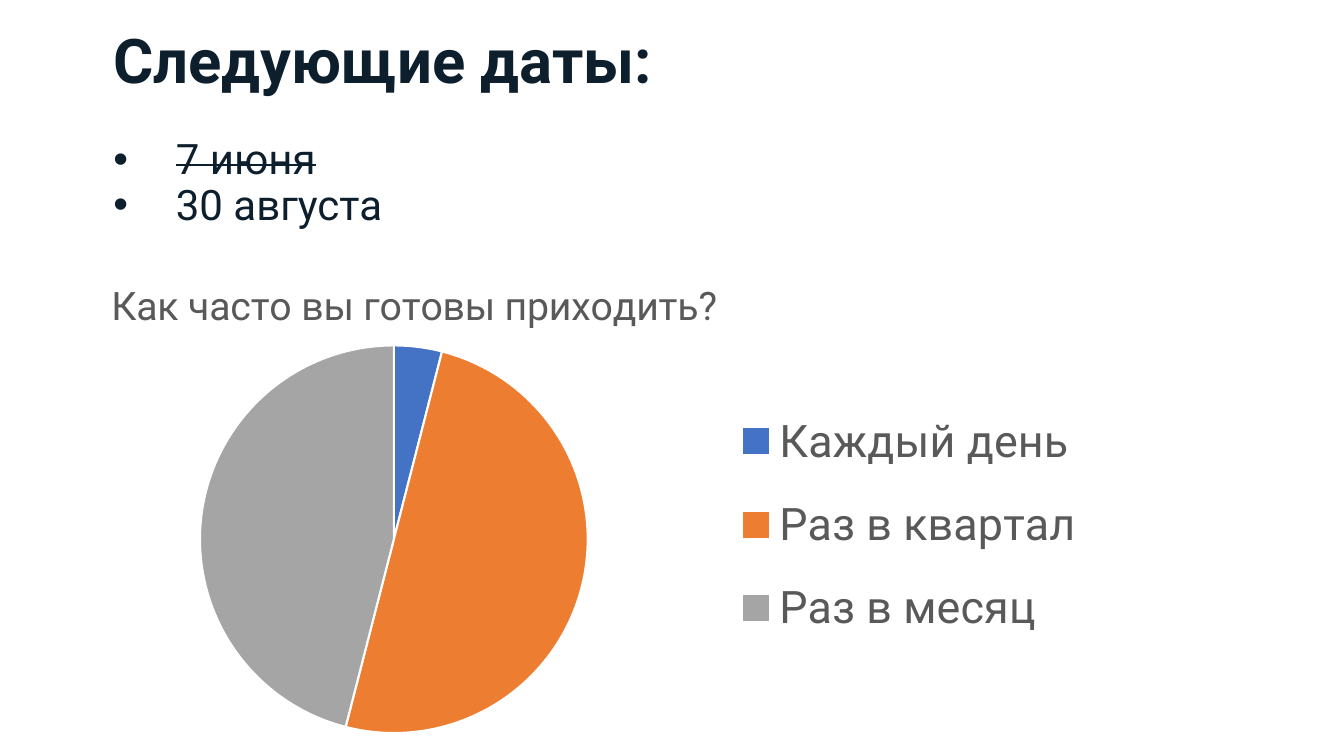
from lxml import etree
from pptx import Presentation
from pptx import util as u
from pptx.chart.data import CategoryChartData
from pptx.dml.color import RGBColor
from pptx.enum import chart as ch
from pptx.enum import text
from pptx.oxml.ns import qn

NAVY = RGBColor(0x0D, 0x1F, 0x2D)
GREY = RGBColor(0x59, 0x59, 0x59)
WHITE = RGBColor(0xFF, 0xFF, 0xFF)
BLUE = RGBColor(0x44, 0x72, 0xC4)
ORANGE = RGBColor(0xED, 0x7D, 0x31)
SILVER = RGBColor(0xA5, 0xA5, 0xA5)
FONT = "Roboto"


def write(paragraph, words, size, color=NAVY, bold=False, strike=False):
    run = paragraph.add_run()
    run.text = words
    font = run.font
    font.name, font.size, font.bold = FONT, u.Pt(size), bold
    font.color.rgb = color
    if strike:
        run._r.get_or_add_rPr().set("strike", "sngStrike")


def place(part, after=None, **shares):
    for old in part.findall(qn("c:layout")):
        part.remove(old)
    layout = etree.Element(qn("c:layout"))
    manual = etree.SubElement(layout, qn("c:manualLayout"))
    if part.tag == qn("c:plotArea"):
        etree.SubElement(manual, qn("c:layoutTarget")).set("val", "inner")
    for axis in ("x", "y"):
        etree.SubElement(manual, qn(f"c:{axis}Mode")).set("val", "edge")
    for key, share in shares.items():
        etree.SubElement(manual, qn(f"c:{key}")).set("val", str(share))
    if after is None:
        part.insert(0, layout)
    else:
        part.find(qn(after)).addnext(layout)


class DatesSlide:
    """Holds the deck's style and the current slide, with lengths as shares of its size."""

    def __init__(self):
        self.deck = Presentation()
        self.deck.slide_width, self.deck.slide_height = u.Inches(13.33), u.Inches(7.5)
        self.slide = self.deck.slides.add_slide(self.deck.slide_layouts[6])

    def area(self, left, top, width, height):
        w, h = self.deck.slide_width, self.deck.slide_height
        return [int(n) for n in (left * w, top * h, width * w, height * h)]

    def agenda(self, heading, dates, area):
        frame = self.slide.shapes.add_textbox(*self.area(*area)).text_frame
        frame.word_wrap = True
        frame.vertical_anchor = text.MSO_ANCHOR.BOTTOM
        title = frame.paragraphs[0]
        title.line_spacing = 0.9
        write(title, heading, 44, bold=True)
        for index, (date, passed) in enumerate(dates):
            item = frame.add_paragraph()
            item.line_spacing = 0.9
            item.space_before = u.Pt(0 if index else 30)
            props = item._p.get_or_add_pPr()
            props.set("marL", str(u.Inches(0.62)))
            props.set("indent", str(-u.Inches(0.62)))
            etree.SubElement(props, qn("a:buFont")).set("typeface", "Arial")
            etree.SubElement(props, qn("a:buChar")).set("char", "•")
            write(item, date, 30, strike=passed)

    def poll(self, question, answers, area):
        data = CategoryChartData()
        data.categories = [answer for answer, _, _ in answers]
        data.add_series("Series 1", [share for _, share, _ in answers])
        chart = self.slide.shapes.add_chart(
            ch.XL_CHART_TYPE.PIE, *self.area(*area), data).chart
        chart.font.name, chart.font.size = FONT, u.Pt(10)

        chart.has_title = True
        write(chart.chart_title.text_frame.paragraphs[0], question, 28, GREY)
        chart.chart_title.include_in_layout = False
        place(chart.chart_title._element, "c:tx", x=0.09, y=0.02)

        chart.has_legend = True
        legend = chart.legend
        legend.position = ch.XL_LEGEND_POSITION.RIGHT
        legend.include_in_layout = False
        legend.font.name, legend.font.size = FONT, u.Pt(32)
        legend.font.color.rgb = GREY
        place(legend._element, "c:legendPos", x=0.62, y=0.25, w=0.33, h=0.58)

        pie = chart.plots[0]
        pie.vary_by_categories = True
        place(chart._chartSpace.chart.plotArea, x=0.17, y=0.17, w=0.34, h=0.8)
        for index, (_, _, color) in enumerate(answers):
            wedge = pie.series[0].points[index].format
            wedge.fill.solid()
            wedge.fill.fore_color.rgb = color
            wedge.line.color.rgb = WHITE
            wedge.line.width = u.Pt(1.5)


def main():
    page = DatesSlide()
    page.agenda("Следующие даты:", [("7 июня", True), ("30 августа", False)],
                (0.077, 0.03, 0.45, 0.28))
    page.poll("Как часто вы готовы приходить?",
              [("Каждый день", 4, BLUE), ("Раз в квартал", 50, ORANGE),
               ("Раз в месяц", 46, SILVER)],
              (0, 0.348, 0.862, 0.641))
    page.deck.save("out.pptx")


if __name__ == "__main__":
    main()
